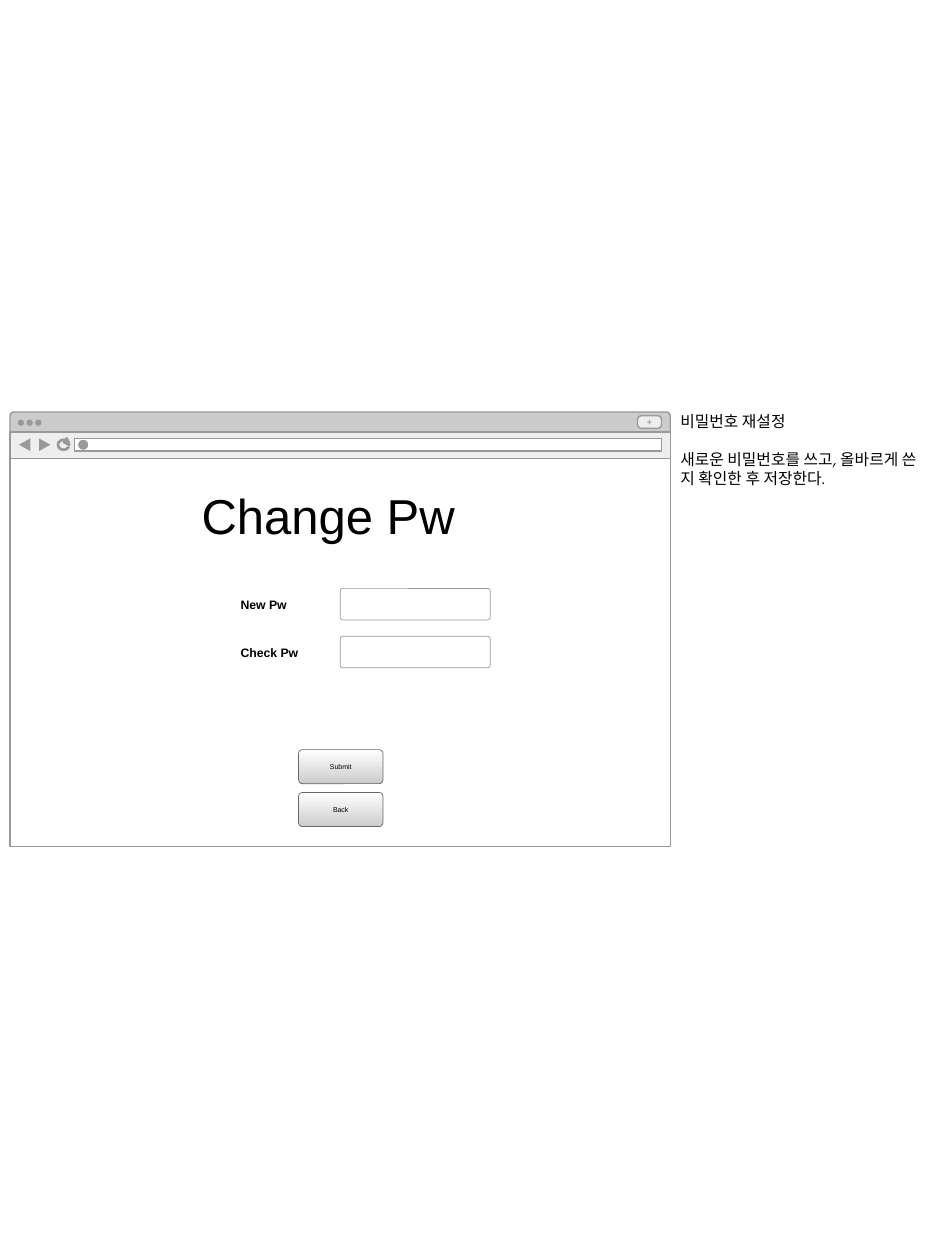
from dataclasses import dataclass

import pptx
import pptx.dml.color
import pptx.enum.shapes
import pptx.enum.text
import pptx.util

Inches = pptx.util.Inches
Pt = pptx.util.Pt
Color = pptx.dml.color.RGBColor.from_string
Shape = pptx.enum.shapes.MSO_SHAPE
Align = pptx.enum.text.PP_ALIGN
Anchor = pptx.enum.text.MSO_ANCHOR


@dataclass(frozen=True)
class Theme:
    text: str = "000000"
    white: str = "FFFFFF"
    toolbar: str = "EEEEEE"
    bar: str = "CCCCCC"
    gray: str = "999999"
    button_line: str = "666666"
    font: str = "Arial"
    note_font: str = "TeX Gyre Pagella"
    title_size: float = 28
    note_size: float = 9
    label_size: float = 7
    tab_size: float = 5
    button_size: float = 4
    frame_line: float = 0.79
    control_line: float = 0.4
    icon_line: float = 1.56


class Wireframe:
    def __init__(self, slide, theme):
        self.slide = slide
        self.theme = theme

    def finish(self, shape, fill=None, line=None, width=None):
        shape.shadow.inherit = False
        if fill:
            shape.fill.solid()
            shape.fill.fore_color.rgb = Color(fill)
        else:
            shape.fill.background()
        if line:
            shape.line.color.rgb = Color(line)
            shape.line.width = Pt(width or self.theme.frame_line)
        else:
            shape.line.fill.background()
        return shape

    def box(self, kind, left, top, width, height, fill=None, line=None,
            line_width=None, radius=None):
        shape = self.slide.shapes.add_shape(
            kind, Inches(left), Inches(top), Inches(width), Inches(height))
        if radius:
            shape.adjustments[0] = radius / min(width, height)
        return self.finish(shape, fill, line, line_width)

    def polygon(self, points, line=None, line_width=None):
        corners = [(Inches(x), Inches(y)) for x, y in points]
        builder = self.slide.shapes.build_freeform(*corners[0], scale=1.0)
        builder.add_line_segments(corners[1:], close=True)
        return self.finish(builder.convert_to_shape(), self.theme.gray, line, line_width)

    def dot(self, left, top, size):
        self.box(Shape.OVAL, left, top, size, size, self.theme.gray)

    def set_text(self, shape, lines, size, font=None, color=None, bold=False,
                 align=Align.LEFT, anchor=Anchor.MIDDLE, gap=0):
        frame = shape.text_frame
        frame.word_wrap = True
        frame.auto_size = pptx.enum.text.MSO_AUTO_SIZE.NONE
        frame.vertical_anchor = anchor
        frame.margin_left = frame.margin_right = 0
        frame.margin_top = frame.margin_bottom = 0
        for index, line in enumerate(lines):
            paragraph = frame.add_paragraph() if index else frame.paragraphs[0]
            paragraph.alignment = align
            paragraph.space_before = Pt(gap if index else 0)
            run = paragraph.add_run()
            run.text = line
            run.font.name = font or self.theme.font
            run.font.size = Pt(size)
            run.font.bold = bold
            run.font.color.rgb = Color(color or self.theme.text)

    def text(self, left, top, width, height, lines, size, **style):
        shape = self.slide.shapes.add_textbox(
            Inches(left), Inches(top), Inches(width), Inches(height))
        self.set_text(shape, lines, size, **style)

    def title(self, left, top, width, height, wording):
        shape = self.slide.shapes.title
        shape.left, shape.top = Inches(left), Inches(top)
        shape.width, shape.height = Inches(width), Inches(height)
        self.set_text(shape, [wording], self.theme.title_size, anchor=Anchor.TOP)
        # The page panel is opaque, so the title has to sit above it.
        self.slide.shapes._spTree.append(shape._element)

    def field(self, top, label):
        theme = self.theme
        self.box(Shape.ROUNDED_RECTANGLE, 2.7, top, 1.19, 0.25,
                 theme.white, theme.gray, theme.control_line, 0.02)
        self.text(1.91, top + 0.07, 0.57, 0.12, [label], theme.label_size, bold=True)

    def button(self, top, label):
        theme = self.theme
        shape = self.box(Shape.ROUNDED_RECTANGLE, 2.37, top, 0.67, 0.27,
                         theme.white, theme.button_line, theme.control_line, 0.03)
        shape.fill.gradient()
        shape.fill.gradient_angle = 270
        for stop, color in zip(shape.fill.gradient_stops, (theme.white, theme.bar)):
            stop.color.rgb = Color(color)
        self.set_text(shape, [label], theme.button_size, align=Align.CENTER)

    def refresh_icon(self):
        theme = self.theme
        arc = self.box(Shape.ARC, 0.46, 3.49, 0.09, 0.08,
                       line=theme.gray, line_width=theme.icon_line)
        for index, degrees in enumerate((20, 340)):
            arc.adjustments[index] = degrees * 0.6  # 60000ths of a degree over 100000
        self.polygon([(0.55, 3.53), (0.51, 3.51), (0.53, 3.48)],
                     theme.gray, theme.icon_line)

    def browser(self):
        theme = self.theme
        left, width = 0.08, 5.24
        self.box(Shape.ROUNDED_RECTANGLE, left, 3.27, width, 0.26,
                 theme.bar, theme.gray, radius=0.03)
        self.box(Shape.RECTANGLE, left, 3.64, width, 3.08, theme.white, theme.gray)
        tab = self.box(Shape.ROUNDED_RECTANGLE, 5.06, 3.3, 0.19, 0.1,
                       theme.toolbar, theme.gray, radius=0.03)
        self.set_text(tab, ["+"], theme.tab_size, color=theme.gray, bold=True,
                      align=Align.CENTER)
        for index in range(3):
            self.dot(0.14 + 0.07 * index, 3.33, 0.05)
        self.box(Shape.RECTANGLE, left, 3.43, width, 0.21, theme.toolbar, theme.gray)
        for tip, base in ((0.15, 0.24), (0.4, 0.31)):
            self.polygon([(tip, 3.53), (base, 3.48), (base, 3.58)])
        self.box(Shape.RECTANGLE, 0.59, 3.48, 4.66, 0.1, theme.white, theme.gray)
        self.dot(0.62, 3.49, 0.08)
        self.refresh_icon()


def main():
    presentation = pptx.Presentation()
    presentation.slide_width = Inches(7.5)
    presentation.slide_height = Inches(10)
    slide = presentation.slides.add_slide(presentation.slide_layouts[5])
    theme = Theme()
    wireframe = Wireframe(slide, theme)

    wireframe.browser()
    wireframe.title(1.6, 3.85, 2.2, 0.47, "Change Pw")
    for index, label in enumerate(("New Pw", "Check Pw")):
        wireframe.field(4.67 + 0.38 * index, label)
    for index, label in enumerate(("Submit", "Back")):
        wireframe.button(5.95 + 0.34 * index, label)
    wireframe.text(
        5.4, 3.27, 2.01, 0.6,
        ["비밀번호 재설정", "새로운 비밀번호를 쓰고, 올바르게 쓴 지 확인한 후 저장한다."],
        theme.note_size, font=theme.note_font, anchor=Anchor.TOP, gap=11)

    presentation.save("out.pptx")


if __name__ == "__main__":
    main()
